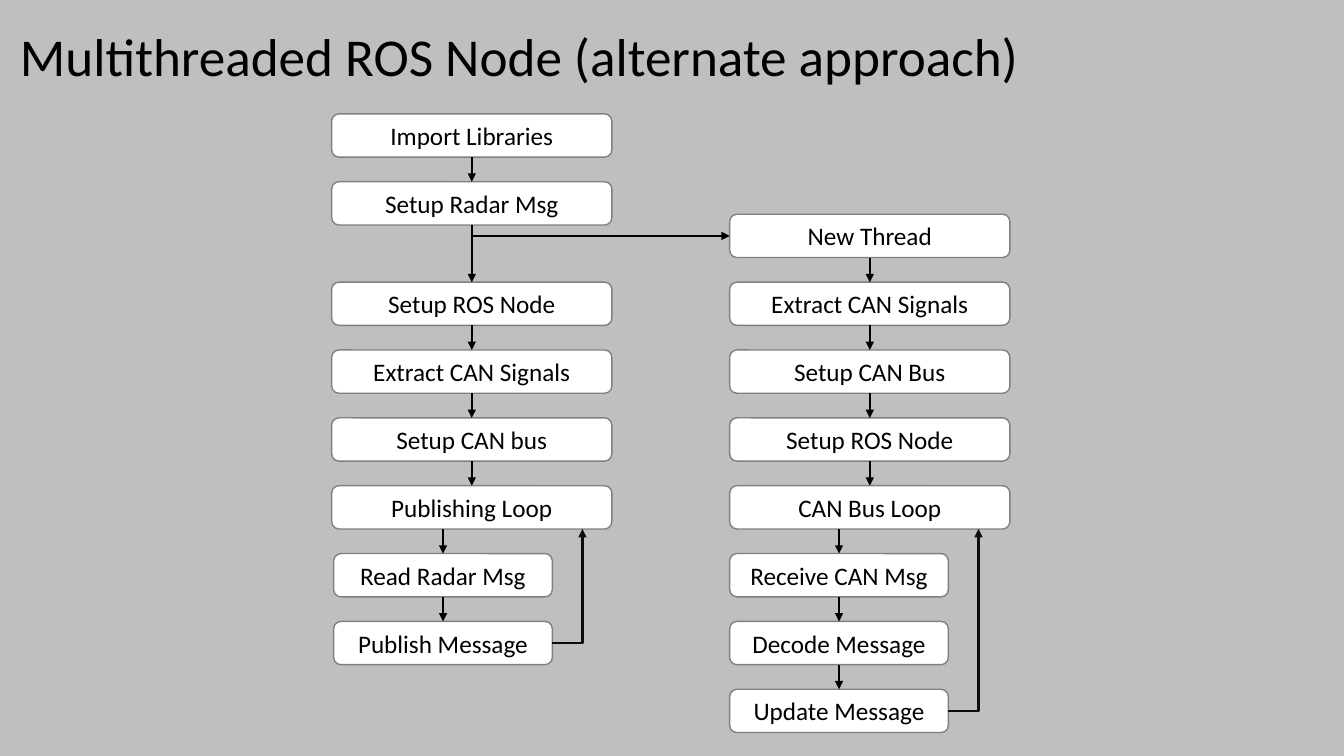
from dataclasses import dataclass

from lxml.etree import SubElement
from pptx import Presentation
from pptx.dml.color import RGBColor
from pptx.enum.shapes import MSO_CONNECTOR, MSO_SHAPE
from pptx.enum.text import MSO_ANCHOR, MSO_AUTO_SIZE, PP_ALIGN
from pptx.oxml.ns import qn
from pptx.util import Cm, Pt

# Content
TITLE = "Multithreaded ROS Node (alternate approach)"
SETUP_STEPS = ["Import Libraries", "Setup Radar Msg"]
MAIN_THREAD = {
    "steps": ["Setup ROS Node", "Extract CAN Signals", "Setup CAN bus", "Publishing Loop"],
    "loop": ["Read Radar Msg", "Publish Message"],
}
NEW_THREAD = {
    "steps": ["New Thread", "Extract CAN Signals", "Setup CAN Bus", "Setup ROS Node",
              "CAN Bus Loop"],
    "loop": ["Receive CAN Msg", "Decode Message", "Update Message"],
}


@dataclass
class Theme:
    font: str = "Calibri"
    title_size: int = 38
    step_size: int = 18
    background: RGBColor = RGBColor(0xBF, 0xBF, 0xBF)
    box_fill: RGBColor = RGBColor(0xFF, 0xFF, 0xFF)
    box_line: RGBColor = RGBColor(0x80, 0x80, 0x80)
    text: RGBColor = RGBColor(0, 0, 0)
    arrow: RGBColor = RGBColor(0, 0, 0)
    loop_arrow: RGBColor = RGBColor(0x0D, 0x0D, 0x0D)


THEME = Theme()

# Layout in centimetres
ROW_PITCH, BOX_HEIGHT = 1.71, 1.09
STEP_WIDTH, LOOP_WIDTH = 7.06, 5.51
LEFT_COLUMN, RIGHT_COLUMN = 8.36, 18.39
SETUP_TOP, MAIN_TOP = 2.87, 7.11
RETURN_REACH = 0.76
TOP, LEFT, BOTTOM, RIGHT = range(4)


def set_all(target, values):
    for name, value in values.items():
        setattr(target, name, value)


def write_text(frame, text, size, alignment):
    frame.text = text
    para = frame.paragraphs[0]
    para.alignment = alignment
    span = para.runs[0]
    set_all(span.font, {"name": THEME.font, "size": Pt(size)})
    span.font.color.rgb = THEME.text


def add_box(page, text, left, top, width):
    box = page.shapes.add_shape(MSO_SHAPE.ROUNDED_RECTANGLE,
                                Cm(left), Cm(top), Cm(width), Cm(BOX_HEIGHT))
    box.shadow.inherit = False
    box.fill.solid()
    box.fill.fore_color.rgb = THEME.box_fill
    box.line.color.rgb = THEME.box_line
    box.line.width = Pt(1)
    set_all(box.text_frame, {"word_wrap": True, "vertical_anchor": MSO_ANCHOR.MIDDLE})
    write_text(box.text_frame, text, THEME.step_size, PP_ALIGN.CENTER)
    return box


def add_arrow(page, start, end, color=THEME.arrow, kind=MSO_CONNECTOR.STRAIGHT):
    arrow = page.shapes.add_connector(kind, *start, *end)
    arrow.line.color.rgb = color
    arrow.line.width = Pt(1.5)
    SubElement(arrow.line._get_or_add_ln(), qn("a:tailEnd"), type="triangle")
    SubElement(arrow._element.spPr, qn("a:effectLst"))
    return arrow


def center_x(box):
    return box.left + box.width // 2


def middle_y(box):
    return box.top + box.height // 2


def join_down(page, upper, lower):
    arrow = add_arrow(page, (center_x(upper), upper.top + upper.height),
                      (center_x(lower), lower.top))
    arrow.begin_connect(upper, BOTTOM)
    arrow.end_connect(lower, TOP)


def add_chain(page, texts, left, top, width):
    boxes = [add_box(page, text, left, top + row * ROW_PITCH, width)
             for row, text in enumerate(texts)]
    for upper, lower in zip(boxes, boxes[1:]):
        join_down(page, upper, lower)
    return boxes


def add_thread(page, thread, left, top, loop_left):
    steps = add_chain(page, thread["steps"], left, top, STEP_WIDTH)
    loop_top = top + len(steps) * ROW_PITCH
    loop = add_chain(page, thread["loop"], loop_left, loop_top, LOOP_WIDTH)

    # Arrow into the loop body
    loop_head, first, last = steps[-1], loop[0], loop[-1]
    head_bottom = loop_head.top + loop_head.height
    entry = add_arrow(page, (center_x(first), head_bottom), (center_x(first), first.top))
    entry.end_connect(first, TOP)

    # Arrow back to the loop head: one corner, right and then up
    right_side = last.left + last.width
    back = add_arrow(page, (right_side, middle_y(last)),
                     (right_side + Cm(RETURN_REACH), head_bottom),
                     THEME.loop_arrow, MSO_CONNECTOR.ELBOW)
    back._element.spPr.find(qn("a:prstGeom")).set("prst", "bentConnector2")
    back.begin_connect(last, RIGHT)
    return steps


def main():
    deck = Presentation()
    set_all(deck, {"slide_width": Cm(33.87), "slide_height": Cm(19.05)})
    page = deck.slides.add_slide(deck.slide_layouts.get_by_name("Title Only"))
    page.background.fill.solid()
    page.background.fill.fore_color.rgb = THEME.background

    # Title
    title = page.shapes.title
    set_all(title, {"left": Cm(0.25), "top": Cm(0.46),
                    "width": Cm(28.88), "height": Cm(1.88)})
    set_all(title.text_frame, {"word_wrap": True, "auto_size": MSO_AUTO_SIZE.NONE,
                               "vertical_anchor": MSO_ANCHOR.TOP})
    write_text(title.text_frame, TITLE, THEME.title_size, PP_ALIGN.LEFT)

    # Setup and the two threads
    setup = add_chain(page, SETUP_STEPS, LEFT_COLUMN, SETUP_TOP, STEP_WIDTH)
    main_steps = add_thread(page, MAIN_THREAD, LEFT_COLUMN, MAIN_TOP, LEFT_COLUMN + 0.05)
    new_steps = add_thread(page, NEW_THREAD, RIGHT_COLUMN, MAIN_TOP - ROW_PITCH, RIGHT_COLUMN)

    # Branch from setup into both threads
    join_down(page, setup[-1], main_steps[0])
    new_thread = new_steps[0]
    branch = add_arrow(page, (center_x(setup[-1]), middle_y(new_thread)),
                       (new_thread.left, middle_y(new_thread)))
    branch.end_connect(new_thread, LEFT)

    deck.save("out.pptx")


if __name__ == "__main__":
    main()
